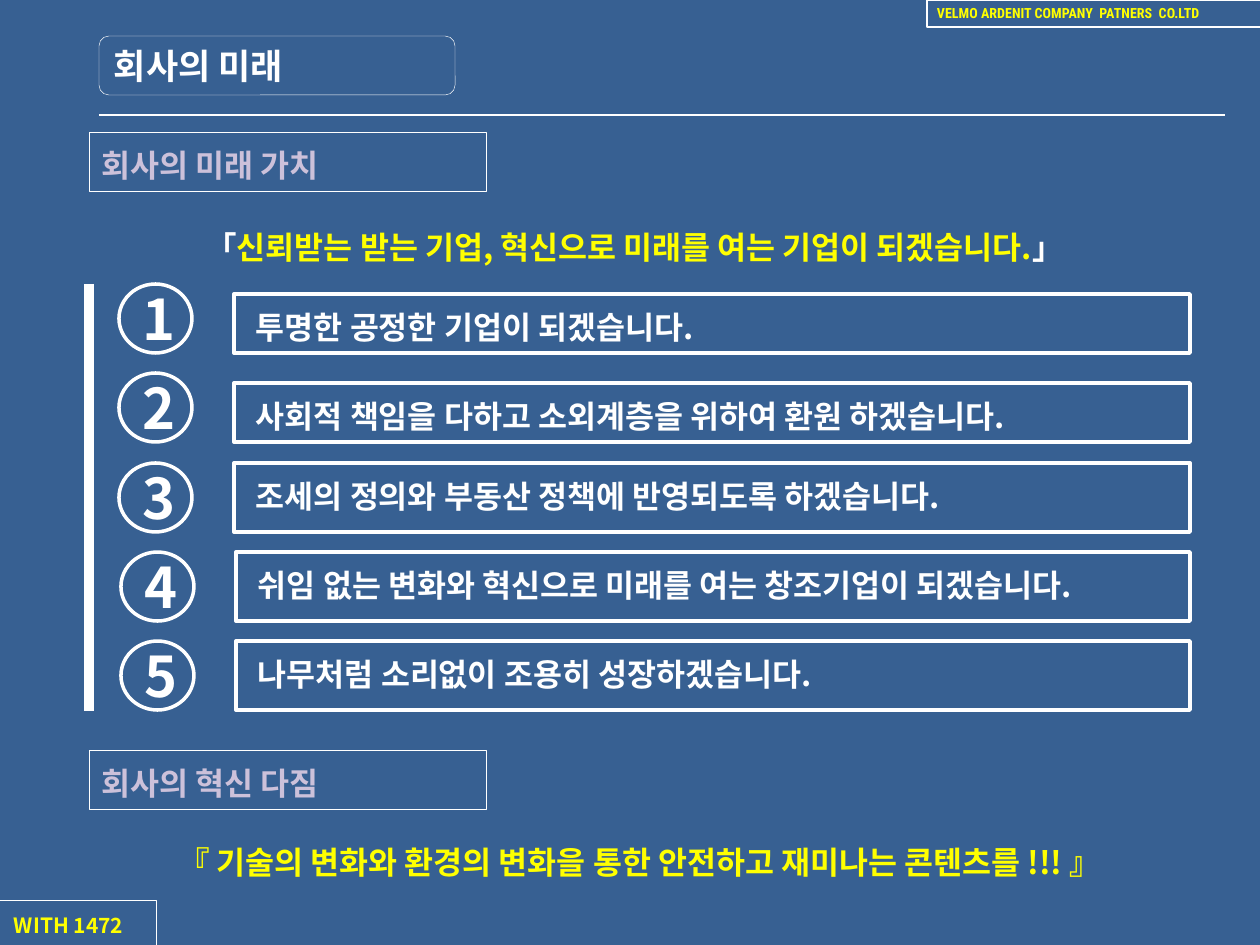
"""Build the slide on the company's future values and its innovation pledge."""
from lxml.etree import SubElement
from pptx import Presentation
from pptx.dml.color import RGBColor
from pptx.enum.shapes import MSO_CONNECTOR, MSO_SHAPE
from pptx.enum.text import MSO_ANCHOR, MSO_AUTO_SIZE, PP_ALIGN
from pptx.oxml.ns import qn
from pptx.util import Emu, Pt

BLUE = RGBColor(0x37, 0x60, 0x92)
WHITE = RGBColor(0xFF, 0xFF, 0xFF)
YELLOW = RGBColor(0xFF, 0xFF, 0x00)
LILAC = RGBColor(0xCC, 0xC1, 0xDA)
KOREAN = "Noto Sans CJK KR"
PX = 914400 / 126


def add_box(kind, left, top, width, height, line_width):
    box = slide.shapes.add_shape(
        kind, *(Emu(round(length * PX)) for length in (left, top, width, height)))
    box.shadow.inherit = False
    box.fill.solid()
    box.fill.fore_color.rgb = BLUE
    if line_width:
        box.line.color.rgb = WHITE
        box.line.width = Pt(line_width)
    else:
        box.line.fill.background()
    return box


def write(box, parts, size, align=PP_ALIGN.LEFT, anchor=MSO_ANCHOR.TOP,
          spacing=1.0, font=KOREAN):
    frame = box.text_frame
    frame.word_wrap = True
    frame.vertical_anchor = anchor
    paragraph = frame.paragraphs[0]
    paragraph.alignment = align
    paragraph.line_spacing = spacing
    for text, color in parts:
        run = paragraph.add_run()
        run.text = text
        run.font.size = Pt(size)
        run.font.bold = True
        run.font.color.rgb = color
        run.font.name = font
        SubElement(run.font._element, qn("a:ea"), typeface=font)


deck = Presentation()
deck.slide_width = Emu(round(1260 * PX))
deck.slide_height = Emu(round(945 * PX))
slide = deck.slides.add_slide(deck.slide_layouts[5])
slide.background.fill.solid()
slide.background.fill.fore_color.rgb = BLUE

title = slide.shapes.title
title.left, title.top, title.width, title.height = (
    Emu(round(length * PX)) for length in (99, 36, 356, 59))
title.text_frame.auto_size = MSO_AUTO_SIZE.NONE
title.text_frame.margin_left = Emu(round(15 * PX))
write(title, [("회사의 미래", WHITE)], 20, anchor=MSO_ANCHOR.MIDDLE)
title_frame = add_box(MSO_SHAPE.ROUNDED_RECTANGLE, 99, 36, 356, 59, 0.25)
title_frame.fill.background()

rules = [(99, 115, 1225, 115, 0.75), (89, 284, 89, 711, 6)]
for start_x, start_y, end_x, end_y, weight in rules:
    rule = slide.shapes.add_connector(
        MSO_CONNECTOR.STRAIGHT,
        *(Emu(round(length * PX)) for length in (start_x, start_y, end_x, end_y)))
    rule.line.color.rgb = WHITE
    rule.line.width = Pt(weight)
    SubElement(rule._element.spPr, qn("a:effectLst"))

for heading, top in [("회사의 미래 가치", 132), ("회사의 혁신 다짐", 750)]:
    section = add_box(MSO_SHAPE.RECTANGLE, 89, top, 397, 59, 0.25)
    write(section, [(heading, LILAC)], 18, spacing=1.2)

slogans = [
    (89, 214, [("「", WHITE),
               ("신뢰받는 받는 기업, 혁신으로 미래를 여는 기업이 되겠습니다.", YELLOW),
               ("」", WHITE)]),
    (94, 829, [("『 기술의 변화와 환경의 변화을 통한 안전하고 재미나는 콘텐츠를 !!! 』", YELLOW)]),
]
for left, top, parts in slogans:
    slogan = add_box(MSO_SHAPE.RECTANGLE, left, top, 1091, 59, 0)
    write(slogan, parts, 18, PP_ALIGN.CENTER, spacing=1.2)

promises = [
    ("투명한 공정한 기업이 되겠습니다.", 0, 10),
    ("사회적 책임을 다하고 소외계층을 위하여 환원 하겠습니다.", 0, 10),
    ("조세의 정의와 부동산 정책에 반영되도록 하겠습니다.", 0, 0),
    ("쉬임 없는 변화와 혁신으로 미래를 여는 창조기업이 되겠습니다.", 2, 0),
    ("나무처럼 소리없이 조용히 성장하겠습니다.", 2, 0),
]
for number, (promise, shift, drop) in enumerate(promises, 1):
    top = 284 + round((number - 1) * 89.3)
    bar = add_box(MSO_SHAPE.RECTANGLE, 234 + shift, top + drop, 956 - shift, 69 - drop, 2.25)
    bar.text_frame.margin_left = Emu(round(22 * PX))
    write(bar, [(promise, WHITE)], 18, spacing=1.2)
    badge = add_box(MSO_SHAPE.OVAL, 119 + shift, top, 73, 69, 2)
    write(badge, [(str(number), WHITE)], 32, PP_ALIGN.CENTER, MSO_ANCHOR.MIDDLE)

company = add_box(MSO_SHAPE.RECTANGLE, 927, 0, 343, 27, 0.75)
company.text_frame.margin_left = company.text_frame.margin_right = Emu(round(10 * PX))
company.text_frame.margin_top = company.text_frame.margin_bottom = Emu(round(5 * PX))
write(company, [("VELMO ARDENIT COMPANY  PATNERS  CO.LTD", YELLOW)], 8, font="Roboto Condensed")

footer = add_box(MSO_SHAPE.RECTANGLE, -6, 900, 162, 45, 0.25)
footer.text_frame.margin_left = Emu(round(20 * PX))
footer.text_frame.margin_top = Emu(round(13 * PX))
write(footer, [("WITH 1472", YELLOW)], 12)

deck.save("out.pptx")
